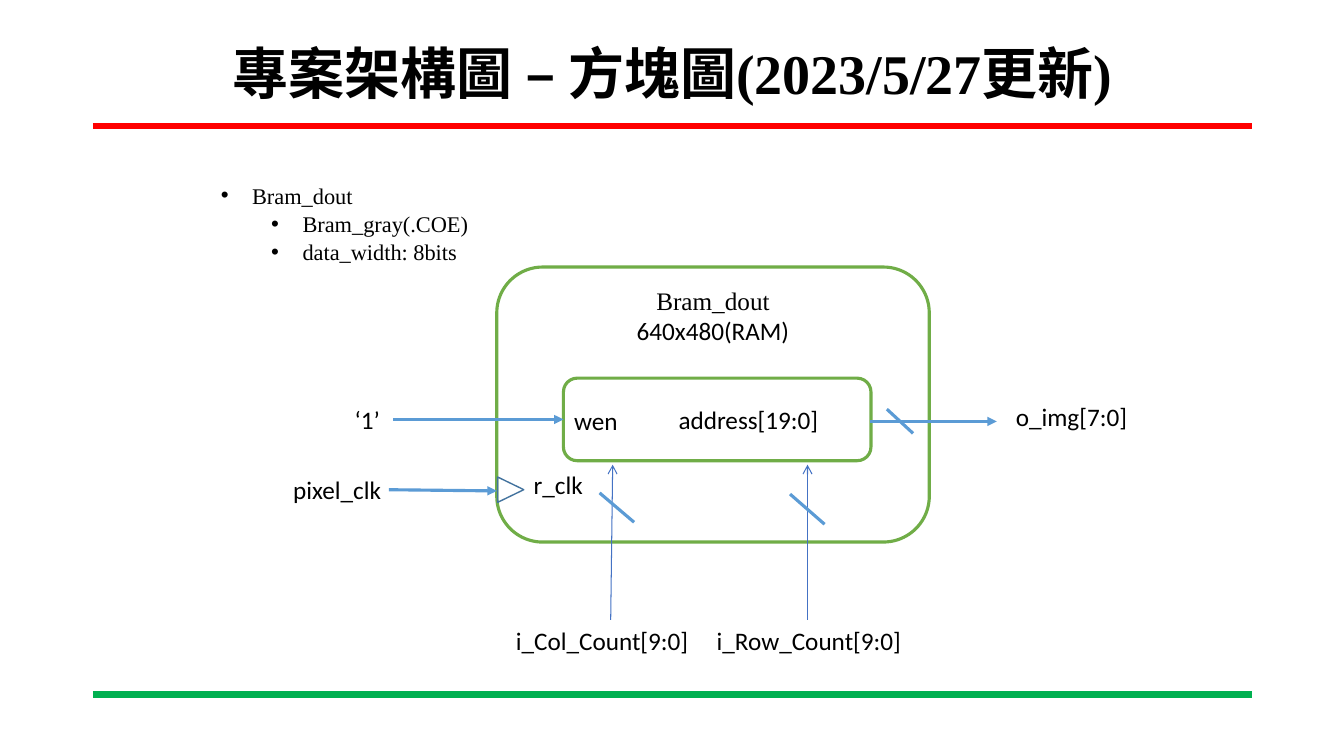
from pptx import Presentation
from pptx.util import Cm, Pt
from pptx.dml.color import RGBColor
from pptx.enum.shapes import MSO_CONNECTOR, MSO_SHAPE
from pptx.enum.text import MSO_ANCHOR, MSO_AUTO_SIZE, PP_ALIGN
from pptx.oxml.ns import qn
from lxml.etree import SubElement

COLORS = {"text": "000000", "white": "FFFFFF", "top": "FF0000", "bottom": "00B050",
          "block": "70AD47", "signal": "5B9BD5", "count": "4472C4", "clock": "43739E"}
SERIF, SANS, CJK = "Times New Roman", "Calibri", "Noto Sans CJK SC"

# Content: every position is in centimetres
TITLE = [("專案架構圖 – ", SERIF), ("方塊圖", CJK), ("(2023/5/27更新)", SERIF)]
BULLETS = [("Bram_dout", 0), ("Bram_gray(.COE)", 1), ("data_width: 8bits", 1)]
RULES = [(3.18, "top"), (17.5, "bottom")]
LABELS = [  # text, left, top, width
    ("r_clk", 13.2, 11.71, 2.2), ("o_img[7:0]", 25.35, 9.98, 3.8),
    ("pixel_clk", 7.14, 11.84, 3.2), ("wen", 14.22, 10.08, 2),
    ("‘1’", 8.69, 10.06, 1.3), ("i_Col_Count[9:0]", 12.75, 15.62, 5.3),
    ("i_Row_Count[9:0]", 17.81, 15.62, 5.3)]
SIGNALS = [  # start x, start y, end x, end y
    (21.92, 10.62, 25.12, 10.62), (9.91, 10.57, 14.2, 10.57), (9.8, 12.34, 12.52, 12.37)]
COUNTS = [(15.39, 15.62, 15.44, 11.71), (20.35, 15.62, 20.35, 11.71)]
SLASHES = [(22.35, 10.31, 23.01, 10.92), (19.91, 12.45, 20.78, 13.21),
           (15.11, 12.42, 15.98, 13.16)]

prs = Presentation()
prs.slide_width, prs.slide_height = Cm(33.87), Cm(19.05)
s = prs.slides.add_slide(prs.slide_layouts[1])


def rgb(name):
    return RGBColor.from_string(COLORS[name])


def place(sp, left, top, width, height):
    sp.left, sp.top, sp.width, sp.height = Cm(left), Cm(top), Cm(width), Cm(height)


def write(p, text, font=SANS, size=18, bold=False, align=None):
    r = p.add_run()
    r.text = text
    r.font.name, r.font.size, r.font.bold = font, Pt(size), bold
    r.font.color.rgb = rgb("text")
    SubElement(r.font._element, qn("a:ea"), typeface=CJK)
    if align is not None:
        p.alignment = align


def line(x1, y1, x2, y2, color, width, head=None):
    c = s.shapes.add_connector(MSO_CONNECTOR.STRAIGHT, Cm(x1), Cm(y1), Cm(x2), Cm(y2))
    c.line.color.rgb, c.line.width = rgb(color), Pt(width)
    if head:
        SubElement(c.line._get_or_add_ln(), qn("a:tailEnd"), type=head)
    SubElement(c._element.spPr, qn("a:effectLst"))


def shape(kind, left, top, width, height, color, weight, fill="white"):
    sp = s.shapes.add_shape(kind, Cm(left), Cm(top), Cm(width), Cm(height))
    sp.shadow.inherit = False
    sp.line.color.rgb, sp.line.width = rgb(color), Pt(weight)
    if fill:
        sp.fill.solid()
        sp.fill.fore_color.rgb = rgb(fill)
    else:
        sp.fill.background()
    return sp


# Title and the two rules
for y, color in RULES:
    line(2.34, y, 31.55, y, color, 4.5)
place(s.shapes.title, 2.34, 0.91, 29.21, 2.01)
tf = s.shapes.title.text_frame
tf.vertical_anchor = MSO_ANCHOR.MIDDLE
tf.auto_size = MSO_AUTO_SIZE.NONE
tf.paragraphs[0].line_spacing = 0.9
for text, font in TITLE:
    write(tf.paragraphs[0], text, font=font, size=40, bold=True, align=PP_ALIGN.CENTER)

# Bullet list
body = s.placeholders[1]
place(body, 4.04, 4.42, 19.38, 2.31)
tf = body.text_frame
tf.auto_size = MSO_AUTO_SIZE.NONE
for i, (text, level) in enumerate(BULLETS):
    p = tf.paragraphs[0] if i == 0 else tf.add_paragraph()
    p.level, p.space_before, p.line_spacing = level, Pt(0), 1.05
    pPr = p._p.get_or_add_pPr()
    pPr.set("marL", str(Cm(2.06 + 1.27 * level)))
    pPr.set("indent", str(-Cm(0.79)))
    SubElement(pPr, qn("a:buFont"), typeface="Arial")
    SubElement(pPr, qn("a:buChar"), char="•")
    write(p, text, font=SERIF, size=16)

# Memory block, clock input and address block
ram = shape(MSO_SHAPE.ROUNDED_RECTANGLE, 12.52, 6.73, 10.9, 6.93, "block", 2.25)
tf = ram.text_frame
tf.vertical_anchor = MSO_ANCHOR.TOP
write(tf.paragraphs[0], "Bram_dout", font=SERIF, align=PP_ALIGN.CENTER)
write(tf.add_paragraph(), "640x480(RAM)", align=PP_ALIGN.CENTER)
clock = shape(MSO_SHAPE.ISOSCELES_TRIANGLE, 12.55, 12.01, 0.64, 0.66, "clock", 1, fill=None)
clock.rotation = 90
address = shape(MSO_SHAPE.ROUNDED_RECTANGLE, 14.2, 9.53, 7.75, 2.08, "block", 2.25)
address.text_frame.margin_left = Cm(2.8)
write(address.text_frame.paragraphs[0], "address[19:0]", align=PP_ALIGN.LEFT)

# Signals, counters and bus slashes
for ends in SIGNALS:
    line(*ends, "signal", 2.25, head="triangle")
for ends in COUNTS:
    line(*ends, "count", 0.75, head="arrow")
for ends in SLASHES:
    line(*ends, "signal", 2.25)

# Signal names
for text, left, top, width in LABELS:
    tb = s.shapes.add_textbox(Cm(left), Cm(top), Cm(width), Cm(1.02))
    tb.text_frame.word_wrap = True
    write(tb.text_frame.paragraphs[0], text)

prs.save("out.pptx")
